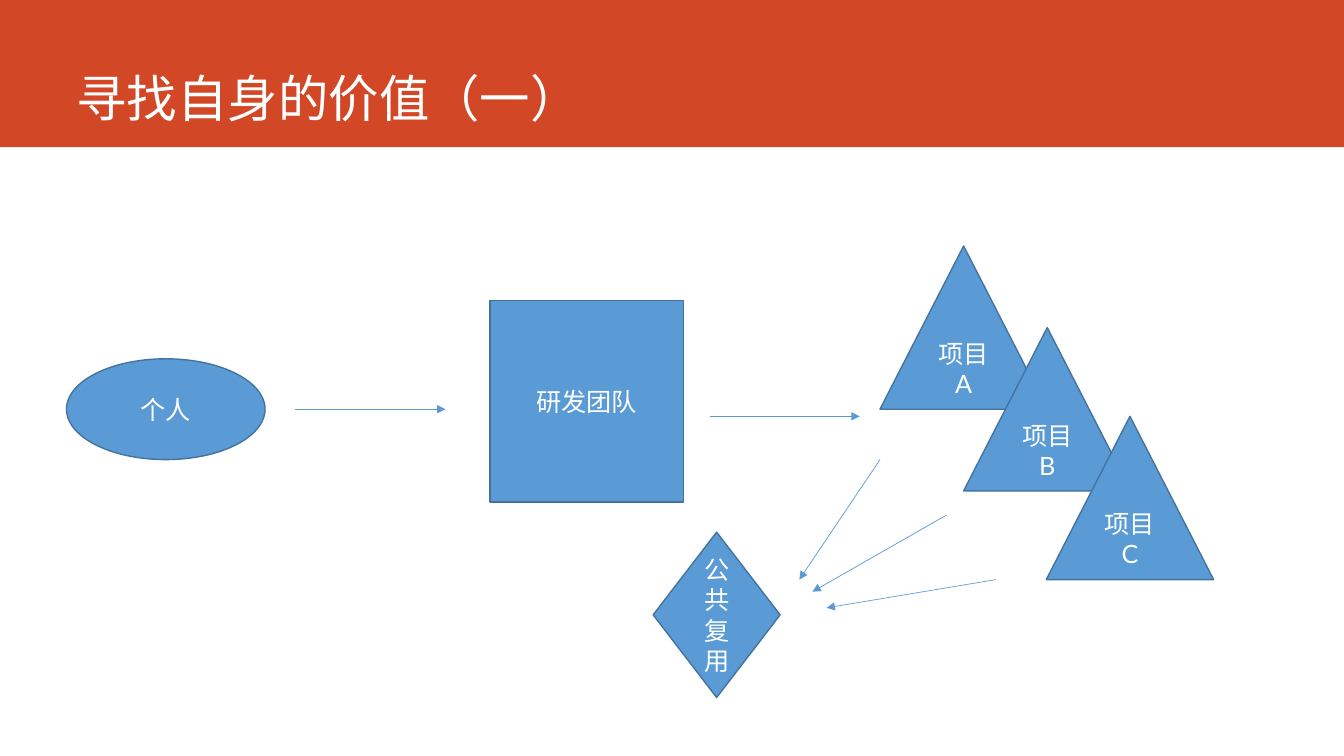
from lxml.etree import SubElement as Sub
from pptx import Presentation
from pptx.dml.color import RGBColor as Rgb
from pptx.enum.shapes import MSO_CONNECTOR as Link, MSO_SHAPE as Kind
from pptx.enum.text import MSO_ANCHOR as Anchor, PP_ALIGN as Align
from pptx.oxml.ns import qn
from pptx.util import Inches, Pt

HUES = {"band": "D24726", "fill": "5B9BD5", "edge": "43739E", "text": "FFFFFF"}
CELL = Inches(0.1)
COLS, ROWS = 133.33, 75


def cells(*nums):
    return [round(num * CELL) for num in nums]


def write(frame, text, size=18, face="Lato", hue="text",
          align=Align.CENTER, anchor=Anchor.MIDDLE):
    frame.word_wrap = True
    frame.vertical_anchor = anchor
    para = frame.paragraphs[0]
    para.alignment = align
    run = para.add_run()
    run.text = text
    run.font.size = Pt(size)
    run.font.name = face
    run.font.color.rgb = Rgb.from_string(HUES[hue])
    Sub(run.font._element, qn("a:ea"), typeface=face)


class Board:
    def __init__(self, deck):
        self.slide = deck.slides.add_slide(deck.slide_layouts[5])
        self.shapes = self.slide.shapes

    def shape(self, kind, box, text=None, fill="fill", edge="edge"):
        item = self.shapes.add_shape(kind, *cells(*box))
        item.shadow.inherit = False
        item.fill.solid()
        item.fill.fore_color.rgb = Rgb.from_string(HUES[fill])
        if edge:
            item.line.color.rgb = Rgb.from_string(HUES[edge])
            item.line.width = Pt(1)
        else:
            item.line.fill.background()
        if text:
            write(item.text_frame, text)

    def title(self, text, box):
        head = self.shapes.title
        head.left, head.top, head.width, head.height = cells(*box)
        write(head.text_frame, text, size=36, face="Noto Sans CJK SC",
              align=Align.LEFT, anchor=Anchor.BOTTOM)
        head.element.getparent().append(head.element)

    def arrow(self, start, end):
        item = self.shapes.add_connector(Link.STRAIGHT, *cells(*start, *end))
        item.line.color.rgb = Rgb.from_string(HUES["fill"])
        item.line.width = Pt(0.5)
        Sub(item.line._get_or_add_ln(), qn("a:tailEnd"), type="triangle")
        Sub(item.element.spPr, qn("a:effectLst"))


deck = Presentation()
deck.slide_width, deck.slide_height = cells(COLS, ROWS)
board = Board(deck)

board.shape(Kind.RECTANGLE, (0, 0, COLS, 14.6), fill="band", edge=None)
board.title("寻找自身的价值（一）", (6.6, 0, 117.6, 13.2))

board.shape(Kind.RECTANGLE, (48.6, 29.8, 19.2, 20), "研发团队")
board.shape(Kind.OVAL, (6.6, 35.6, 19.7, 10), "个人")
for name, left, top in (("A", 87.3, 24.4), ("B", 95.6, 32.5), ("C", 103.8, 41.3)):
    board.shape(Kind.ISOSCELES_TRIANGLE, (left, top, 16.6, 16.2), "项目" + name)
board.shape(Kind.DIAMOND, (64.8, 52.8, 12.6, 16.4), "公共复用")

for left, top in ((29.3, 40.6), (70.4, 41.3)):
    board.arrow((left, top), (left + 14.9, top))
for start, end in (
    ((87.3, 45.6), (79.3, 57.5)),
    ((93.9, 51.1), (80.6, 58.7)),
    ((98.8, 57.5), (82, 60.3)),
):
    board.arrow(start, end)

deck.save("out.pptx")
